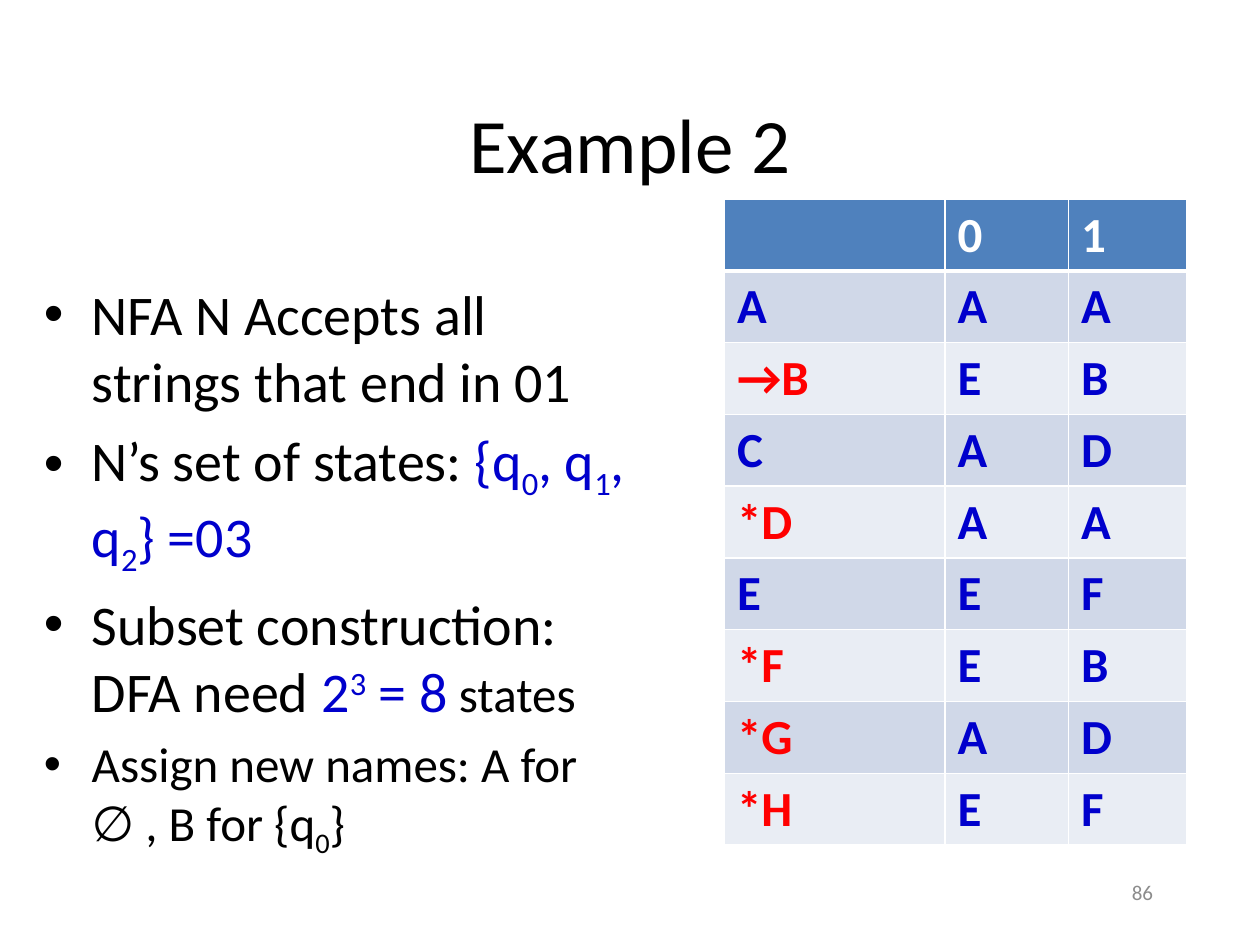
import pptx
import pptx.util
import pptx.dml.color
import pptx.enum.text
import pptx.oxml.ns
import lxml.etree

Inches = pptx.util.Inches
Pt = pptx.util.Pt
Align = pptx.enum.text.PP_ALIGN
Anchor = pptx.enum.text.MSO_ANCHOR
qn = pptx.oxml.ns.qn
BLACK, WHITE, BLUE, RED = "000000", "FFFFFF", "0000CC", "FF0000"


def color(value):
    return pptx.dml.color.RGBColor.from_string(value)


def add_span(para, text, size=32, fill=BLACK, bold=False, baseline=0):
    span = para.add_run()
    span.text = text
    span.font.name = "Calibri"
    span.font.size = Pt(size)
    span.font.bold = bold
    span.font.color.rgb = color(fill)
    if baseline:
        span.font._element.set("baseline", str(baseline * 1000))


deck = pptx.Presentation()
deck.slide_width, deck.slide_height = Inches(10), Inches(7.5)
page = deck.slides.add_slide(deck.slide_layouts[6])

# Title and page number
for text, place, size, fill, align in [
    ("Example 2", (0.75, 0.67, 8.5, 0.92), 44, BLACK, Align.CENTER),
    ("86", (7.17, 6.83, 2.08, 0.5), 12, "8C8C8C", Align.RIGHT),
]:
    box = page.shapes.add_textbox(*map(Inches, place))
    box.text_frame.word_wrap = True
    box.text_frame.vertical_anchor = Anchor.MIDDLE
    para = box.text_frame.paragraphs[0]
    para.alignment = align
    add_span(para, text, size=size, fill=fill)

# Bullets: each has a size and spans of (text, format)
blue = {"fill": BLUE}
blue_sub = {"fill": BLUE, "baseline": -25}
bullets = [
    (32, [("NFA N Accepts all strings that end in 01", {})]),
    (32, [("N’s set of states: ", {}), ("{q", blue), ("0", blue_sub),
          (", q", blue), ("1", blue_sub), (", q", blue), ("2", blue_sub),
          ("} =03", blue)]),
    (32, [("Subset construction: DFA need ", {}), ("2", blue),
          ("3", {"fill": BLUE, "baseline": 30}), (" = 8", blue),
          (" states", {"size": 28})]),
    (28, [("Assign new names: A for ∅ , B for {q", {}),
          ("0", {"baseline": -25}), ("}", {})]),
]
box = page.shapes.add_textbox(Inches(0.25), Inches(2.17), Inches(4.83), Inches(4.5))
frame = box.text_frame
frame.word_wrap = True
for index, (size, spans) in enumerate(bullets):
    para = frame.add_paragraph() if index else frame.paragraphs[0]
    properties = para._p.get_or_add_pPr()
    properties.set("marL", str(Inches(0.38)))
    properties.set("indent", str(-Inches(0.38)))
    font = lxml.etree.SubElement(properties, qn("a:buFont"))
    font.set("typeface", "Arial")
    lxml.etree.SubElement(properties, qn("a:buChar")).set("char", "•")
    if index:
        para.space_before = Pt(size * 0.2)
    for text, style in spans:
        add_span(para, text, **{"size": size, **style})

# Transition table: state, next state on 0, next state on 1
rows = [
    ("", "0", "1"),
    ("A", "A", "A"),
    ("→B", "E", "B"),
    ("C", "A", "D"),
    ("*D", "A", "A"),
    ("E", "E", "F"),
    ("*F", "E", "B"),
    ("*G", "A", "D"),
    ("*H", "E", "F"),
]
widths = [1.75, 0.98, 0.94]
row_height = 0.57
table = page.shapes.add_table(
    len(rows), len(widths), Inches(5.75), Inches(1.58),
    Inches(sum(widths)), Inches(row_height * len(rows))).table
for column, width in zip(table.columns, widths):
    column.width = Inches(width)
for r, row in enumerate(rows):
    table.rows[r].height = Inches(row_height)
    for c, text in enumerate(row):
        cell = table.cell(r, c)
        cell.fill.solid()
        band = "D0D8E8" if r % 2 else "E9EDF4"
        cell.fill.fore_color.rgb = color(band if r else "4F81BD")
        marked = text[:1] in ("→", "*") and text
        fill = WHITE if r == 0 else RED if marked else BLUE
        add_span(cell.text_frame.paragraphs[0], text, size=28, fill=fill, bold=True)

        # White borders, thicker between the header and the states
        cell_properties = cell._tc.get_or_add_tcPr()
        for position, side in enumerate("LRTB"):
            header_edge = (r, side) in ((0, "B"), (1, "T"))
            line = lxml.etree.Element(qn("a:ln" + side))
            line.set("w", str(Pt(3 if header_edge else 1)))
            solid = lxml.etree.SubElement(line, qn("a:solidFill"))
            lxml.etree.SubElement(solid, qn("a:srgbClr")).set("val", WHITE)
            cell_properties.insert(position, line)

deck.save("out.pptx")
